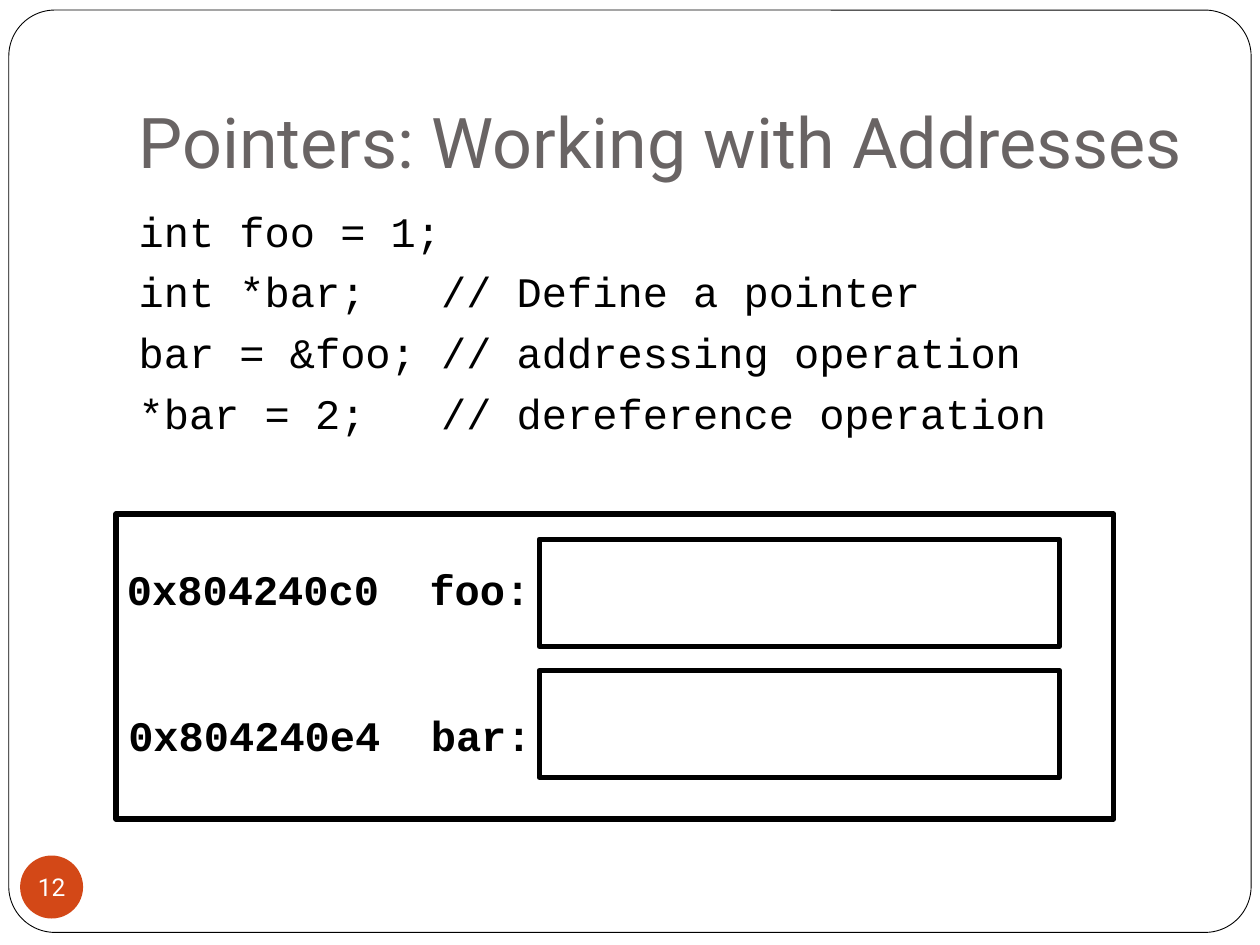
from pptx import Presentation
from pptx.dml.color import RGBColor
from pptx.enum.shapes import MSO_SHAPE as Shape
from pptx.enum.text import MSO_ANCHOR as Anchor, MSO_AUTO_SIZE as AutoSize, PP_ALIGN as Align
from pptx.util import Inches, Pt
from lxml.etree import SubElement
from pptx.oxml.ns import qn

TITLE = "Pointers: Working with Addresses"
PAGE_NUMBER = "12"
CODE = [
    "int foo = 1;",
    "int *bar;   // Define a pointer",
    "bar = &foo; // addressing operation",
    "*bar = 2;   // dereference operation",
]
# label, label left, label top, cell top
VARIABLES = [
    ("0x804240c0  foo:", 0.91, 4.42, 4.28),
    ("0x804240e4  bar:", 0.92, 5.58, 5.32),
]
THEME = {
    "white": "FFFFFF",
    "black": "000000",
    "accent": "D34817",
    "title": {"name": "Roboto", "size": Pt(40), "color": "696464"},
    "number": {"name": "Roboto", "size": Pt(14), "color": "FFFFFF"},
    "code": {"name": "Courier New", "size": Pt(24), "color": "000000"},
    "label": {"name": "Courier New", "size": Pt(24), "color": "000000", "bold": True},
}


def set_all(target, **values):
    for name, value in values.items():
        setattr(target, name, value)


def write(para, text, style):
    span = para.add_run()
    span.text = text
    set_all(span.font, **{key: value for key, value in THEME[style].items() if key != "color"})
    span.font.color.rgb = RGBColor.from_string(THEME[style]["color"])


def place(box, left, top, width, height):
    set_all(box, left=Inches(left), top=Inches(top), width=Inches(width), height=Inches(height))


def add_box(page, kind, area, fill=None, line=None, weight=3):
    box = page.shapes.add_shape(kind, *map(Inches, area))
    box.shadow.inherit = False
    if fill:
        box.fill.solid()
        box.fill.fore_color.rgb = RGBColor.from_string(fill)
    else:
        box.fill.background()
    if line:
        box.line.color.rgb = RGBColor.from_string(line)
        box.line.width = Pt(weight)
    else:
        box.line.fill.background()
    return box


def add_frame(page):
    """Draw the rounded page border behind the placeholders."""
    frame = add_box(page, Shape.ROUNDED_RECTANGLE, (0.07, 0.08, 9.86, 7.32),
                    THEME["white"], THEME["black"], 0.5)
    frame.adjustments[0] = 0.05
    page.shapes[0].element.addprevious(frame.element)


def fill_title(title):
    place(title, 1, 0.3, 8.5, 1.25)
    set_all(title.text_frame, vertical_anchor=Anchor.BOTTOM, auto_size=AutoSize.NONE,
            margin_bottom=Inches(0.1))
    para = title.text_frame.paragraphs[0]
    para.alignment = Align.LEFT
    write(para, TITLE, "title")


def fill_code(body):
    place(body, 1, 1.58, 8.5, 5)
    frame = body.text_frame
    frame.auto_size = AutoSize.NONE
    for index, line in enumerate(CODE):
        para = frame.add_paragraph() if index else frame.paragraphs[0]
        para.space_before = Pt(5.8)
        write(para, line, "code")
        properties = para._p.get_or_add_pPr()
        properties.set("marL", str(Inches(0.3)))
        properties.set("indent", str(Inches(-0.3)))
        SubElement(properties, qn("a:buNone"))


def add_number(page):
    badge = add_box(page, Shape.OVAL, (0.16, 6.79, 0.5, 0.5), THEME["accent"])
    set_all(badge.text_frame, word_wrap=False, vertical_anchor=Anchor.MIDDLE,
            margin_left=0, margin_right=0, margin_top=0, margin_bottom=0)
    para = badge.text_frame.paragraphs[0]
    para.alignment = Align.CENTER
    write(para, PAGE_NUMBER, "number")


def add_memory(page):
    add_box(page, Shape.RECTANGLE, (0.92, 4.08, 7.92, 2.42), line=THEME["black"])
    for text, left, top, cell_top in VARIABLES:
        add_box(page, Shape.RECTANGLE, (4.28, cell_top, 4.13, 0.85), line=THEME["black"])
        label = page.shapes.add_textbox(*map(Inches, (left, top, 3.43, 0.5)))
        set_all(label.text_frame, word_wrap=False, auto_size=AutoSize.SHAPE_TO_FIT_TEXT)
        write(label.text_frame.paragraphs[0], text, "label")


def main():
    deck = Presentation()
    set_all(deck, slide_width=Inches(10), slide_height=Inches(7.5))
    page = deck.slides.add_slide(deck.slide_layouts[1])
    add_frame(page)
    fill_title(page.shapes.title)
    fill_code(page.placeholders[1])
    add_number(page)
    add_memory(page)
    deck.save("out.pptx")


if __name__ == "__main__":
    main()
